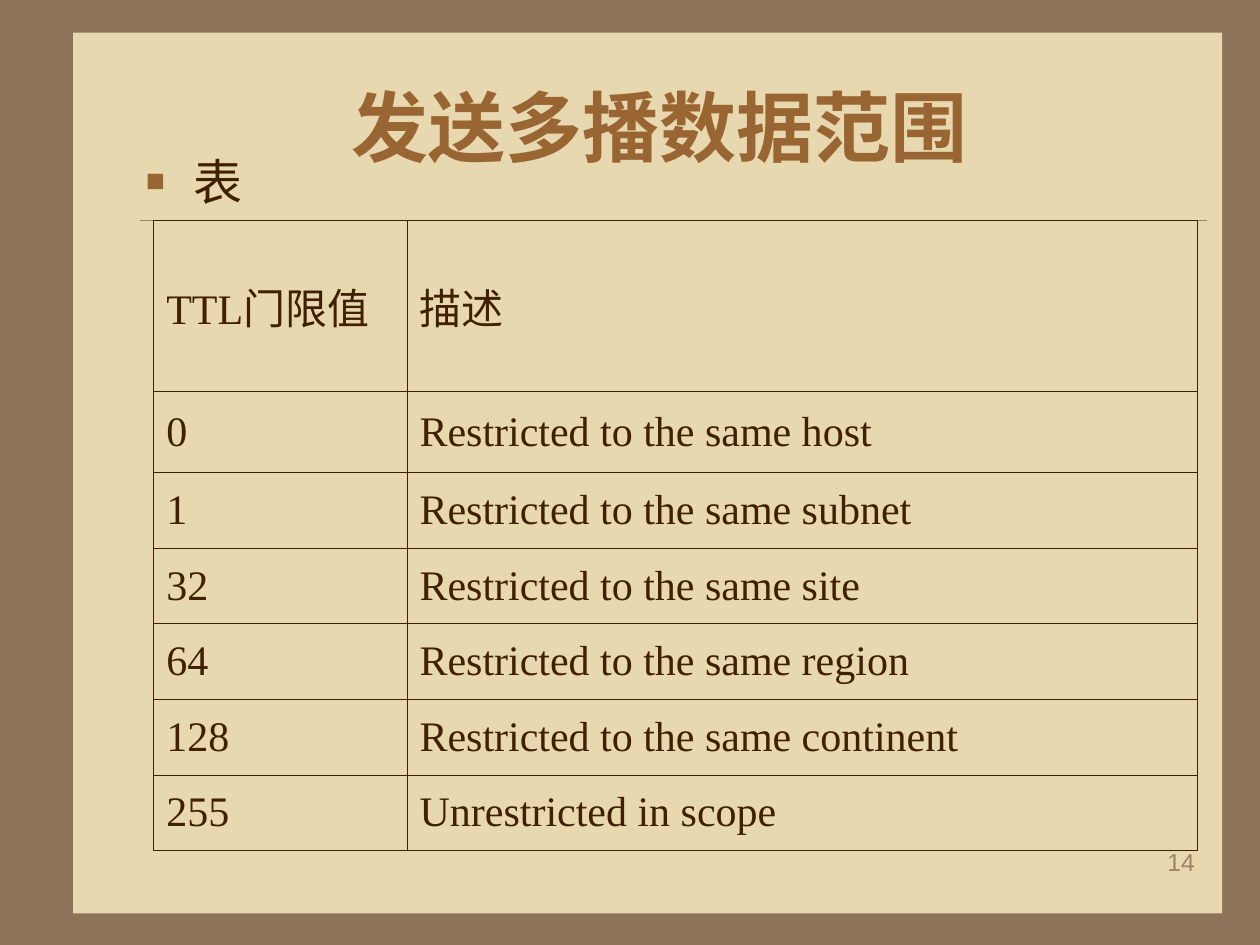
from lxml.etree import SubElement
from pptx import Presentation
from pptx.dml.color import RGBColor
from pptx.enum.shapes import MSO_CONNECTOR, MSO_SHAPE
from pptx.enum.text import MSO_ANCHOR, MSO_AUTO_SIZE, PP_ALIGN
from pptx.oxml.ns import qn
from pptx.util import Inches, Pt

BROWN, PAPER, TAN, ACCENT, INK = "8C735A", "E7D8AF", "A08366", "996633", "402000"
SERIF = "Times New Roman"
TITLE = {"size": Pt(44), "name": SERIF, "bold": True}
BULLET = {"size": Pt(28), "name": SERIF}
CELL = {"size": Pt(24), "name": SERIF}
NUMBER = {"size": Pt(14), "name": "Arial"}

COLS = [2.01, 6.27]
ROWS = [1.36, 0.64] + [0.6] * 5
SCOPES = [
    ("TTL门限值", "描述"),
    ("0", "Restricted to the same host"),
    ("1", "Restricted to the same subnet"),
    ("32", "Restricted to the same site"),
    ("64", "Restricted to the same region"),
    ("128", "Restricted to the same continent"),
    ("255", "Unrestricted in scope"),
]


def rgb(color):
    return RGBColor.from_string(color)


def inches(box):
    return [Inches(v) for v in box]


def write(tf, text, font, color, **paragraph):
    """Put one formatted paragraph in a text frame and return it."""
    p = tf.paragraphs[0]
    r = p.add_run()
    r.text = text
    for name, value in font.items():
        setattr(r.font, name, value)
    r.font.color.rgb = rgb(color)
    for name, value in paragraph.items():
        setattr(p, name, value)
    return p


def add_text(s, box, text, font, color, **paragraph):
    tf = s.shapes.add_textbox(*inches(box)).text_frame
    tf.word_wrap = True
    return write(tf, text, font, color, **paragraph)


def add_backdrop(s, box, rule):
    """Brown frame, paper panel and the thin rule under the heading."""
    s.background.fill.solid()
    s.background.fill.fore_color.rgb = rgb(BROWN)
    sp = s.shapes.add_shape(MSO_SHAPE.RECTANGLE, *inches(box))
    sp.shadow.inherit = False
    sp.fill.solid()
    sp.fill.fore_color.rgb = rgb(PAPER)
    sp.line.fill.background()
    line = s.shapes.add_connector(MSO_CONNECTOR.STRAIGHT, *inches(rule))
    line.line.color.rgb = rgb(TAN)
    line.line.width = Pt(0.25)
    SubElement(line._element.spPr, qn("a:effectLst"))


def add_title(s, box, text):
    """Fill the title placeholder and lift it in front of the backdrop."""
    sp = s.shapes.title
    s.shapes._spTree.append(sp._element)
    sp.left, sp.top, sp.width, sp.height = inches(box)
    tf = sp.text_frame
    tf.auto_size = MSO_AUTO_SIZE.NONE
    tf.vertical_anchor = MSO_ANCHOR.MIDDLE
    write(tf, text, TITLE, ACCENT, alignment=PP_ALIGN.CENTER)


def add_bullet(s, box, text):
    p = add_text(s, box, text, BULLET, INK, space_before=Pt(7))
    pPr = p._p.get_or_add_pPr()
    indent = Inches(0.38)
    pPr.set("marL", str(indent))
    pPr.set("indent", str(-indent))
    SubElement(SubElement(pPr, qn("a:buClr")), qn("a:srgbClr"), val=ACCENT)
    SubElement(pPr, qn("a:buSzPct"), val="65000")
    SubElement(pPr, qn("a:buFont"), typeface=SERIF)
    SubElement(pPr, qn("a:buChar"), char="■")


def border_cell(cell):
    tcPr = cell._tc.get_or_add_tcPr()
    for i, side in enumerate(("a:lnL", "a:lnR", "a:lnT", "a:lnB")):
        ln = tcPr.makeelement(qn(side), {"w": str(Pt(0.45))})
        fill = SubElement(ln, qn("a:solidFill"))
        SubElement(fill, qn("a:srgbClr"), val=INK)
        tcPr.insert(i, ln)


def add_scope_table(s, left, top):
    box = inches((left, top, sum(COLS), sum(ROWS)))
    table = s.shapes.add_table(len(ROWS), len(COLS), *box).table
    table.first_row = table.horz_banding = False
    for column, width in zip(table.columns, COLS):
        column.width = Inches(width)
    for row, height, texts in zip(table.rows, ROWS, SCOPES):
        row.height = Inches(height)
        for cell, text in zip(row.cells, texts):
            cell.fill.background()
            cell.vertical_anchor = MSO_ANCHOR.MIDDLE
            write(cell.text_frame, text, CELL, INK)
            border_cell(cell)


def main():
    prs = Presentation()
    prs.slide_width, prs.slide_height = inches((10, 7.5))
    s = prs.slides.add_slide(prs.slide_layouts[5])
    add_backdrop(s, (0.58, 0.26, 9.12, 6.99), (1.11, 1.75, 9.58, 1.75))
    add_text(s, (7.5, 6.67, 2.08, 0.5), "14", NUMBER, TAN,
             alignment=PP_ALIGN.RIGHT, space_before=Pt(8.8))
    add_title(s, (0.98, 0.44, 8.52, 1.11), "发送多播数据范围")
    add_bullet(s, (1.06, 1.15, 7.08, 1.42), "表")
    add_scope_table(s, 1.22, 1.75)
    prs.save("out.pptx")


if __name__ == "__main__":
    main()
